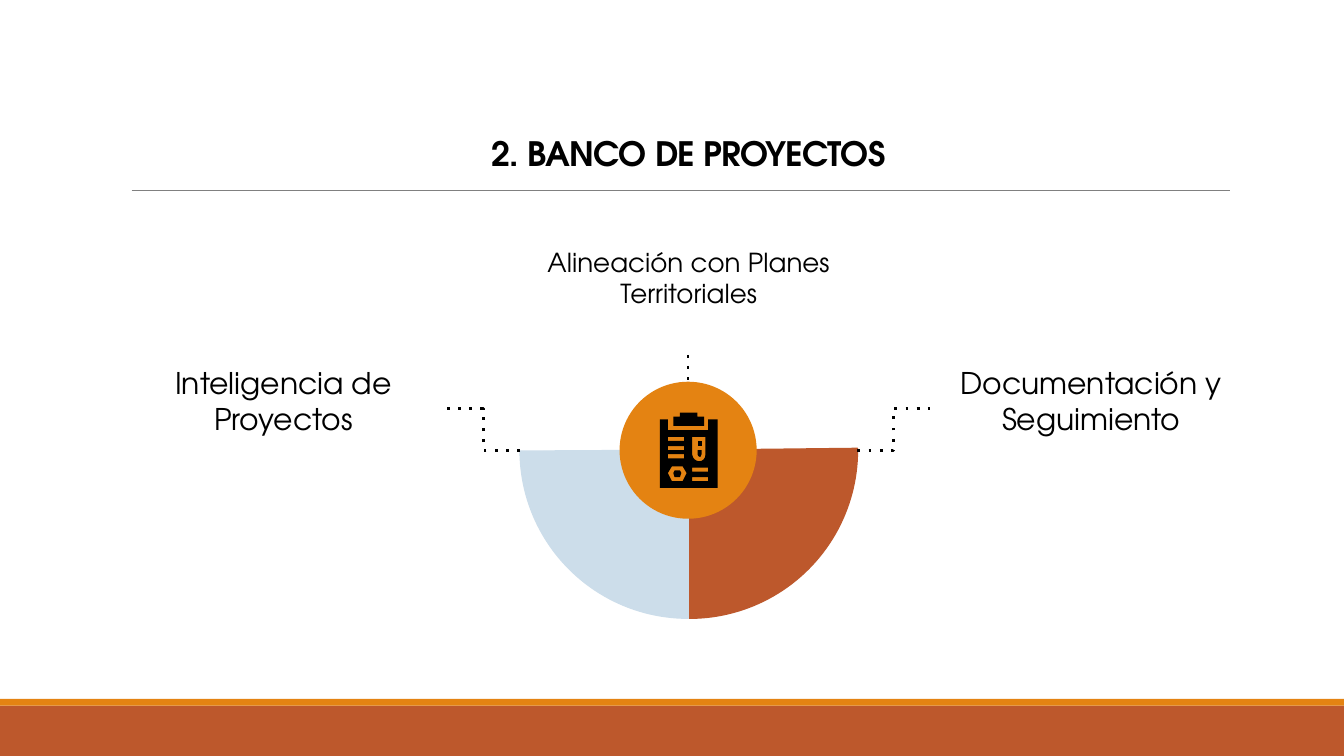
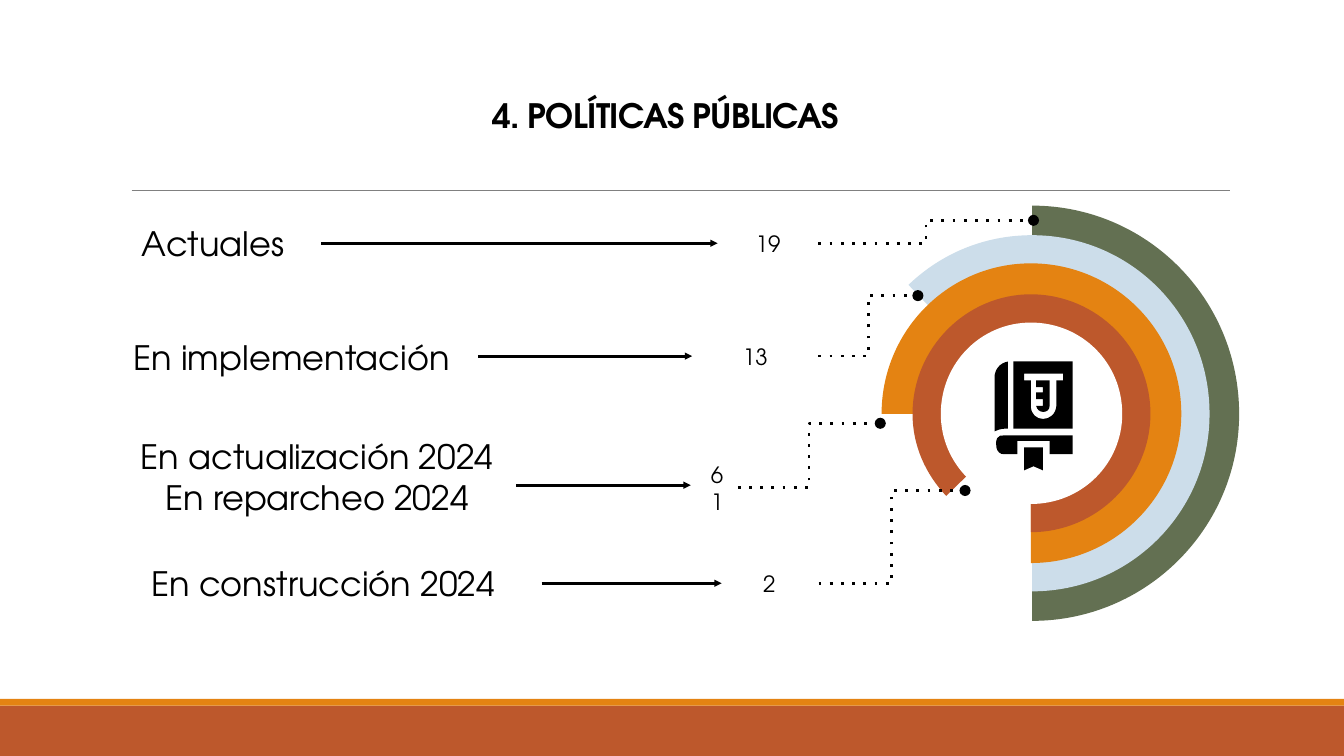
import lxml.etree
import pptx
import pptx.dml.color
import pptx.enum.shapes
import pptx.enum.text
import pptx.oxml.ns
import pptx.util

PX = 9144  # EMU in one px, 100 px to the inch
FONT = "TeX Gyre Adventor"
RUST, ORANGE, BLUE, GREEN = "BD582C", "E48312", "CCDDEA", "637052"
BLACK, WHITE, GRAY = "000000", "FFFFFF", "808080"

SHAPE = pptx.enum.shapes.MSO_SHAPE
CONNECTOR = pptx.enum.shapes.MSO_CONNECTOR
ANCHOR = pptx.enum.text.MSO_ANCHOR
color = pptx.dml.color.RGBColor.from_string
qn = pptx.oxml.ns.qn


def paint(shape, fill, line=None):
    shape.shadow.inherit = False
    shape.fill.solid()
    shape.fill.fore_color.rgb = color(fill)
    if line:
        shape.line.color.rgb = color(line)
        shape.line.width = pptx.util.Pt(0.75)
    else:
        shape.line.fill.background()


def add_outline(slide, fill, contours):
    """Draw closed contours as one freeform: pairs are corners, six numbers are a Bézier curve."""
    builder = slide.shapes.build_freeform(*(value * PX for value in contours[0][0]), scale=1.0)
    curve_starts = []
    for index, contour in enumerate(contours):
        if index:
            builder.move_to(*(value * PX for value in contour[0]))
        for step in contour[1:]:
            points = [(x * PX, y * PX) for x, y in zip(step[::2], step[1::2])]
            curve_starts += [len(points) == 3] + [False] * (len(points) - 1)
            builder.add_line_segments(points, close=False)
        builder.add_line_segments([], close=True)
    shape = builder.convert_to_shape()
    segments = list(shape.element.iter(qn("a:lnTo")))
    for index, starts_curve in enumerate(curve_starts):
        if starts_curve:
            curve = lxml.etree.Element(qn("a:cubicBezTo"))
            segments[index].addprevious(curve)
            for segment in segments[index:index + 3]:
                curve.append(segment[0])
                segment.getparent().remove(segment)
    paint(shape, fill)


presentation = pptx.Presentation()
presentation.slide_width = 1000 * PX
presentation.slide_height = pptx.util.Inches(5.625)
title_only = presentation.slide_layouts[5]
projects = presentation.slides.add_slide(title_only)
policies = presentation.slides.add_slide(title_only)

# Bottom bands, shared through the master
shared = []
for top, height, fill in ((525, 38, RUST), (520, 5, ORANGE)):
    band = projects.shapes.add_shape(SHAPE.RECTANGLE, 0, top * PX, 1000 * PX, height * PX)
    paint(band, fill)
    shared.append(band)

# Titles and labels: slide, text, left, top, width, height, size, anchor
BOTTOM, MIDDLE = ANCHOR.BOTTOM, ANCHOR.MIDDLE
texts = (
    (projects, "2. BANCO DE PROYECTOS", 91, 76, 843, 63, 18, BOTTOM),
    (projects, "Alineación con Planes Territoriales", 397, 179, 231, 61, 14, BOTTOM),
    (projects, "Documentación y Seguimiento", 691, 274, 242, 61, 16, BOTTOM),
    (projects, "Inteligencia de Proyectos", 90, 274, 242, 61, 16, BOTTOM),
    (policies, "4. POLÍTICAS PÚBLICAS", 74, 48, 843, 63, 18, BOTTOM),
    (policies, "Actuales", 78, 150, 161, 61, 18, MIDDLE),
    (policies, "En implementación", 78, 235, 278, 61, 18, MIDDLE),
    (policies, "En actualización 2024 En reparcheo 2024", 78, 324, 316, 61, 18, MIDDLE),
    (policies, "En construcción 2024", 78, 403, 325, 61, 18, MIDDLE),
    (policies, "19", 534, 159, 75, 44, 12, MIDDLE),
    (policies, "13", 515, 243, 94, 44, 12, MIDDLE),
    (policies, "6 1", 518, 336, 31, 54, 12, MIDDLE),
    (policies, "2", 537, 412, 71, 44, 12, MIDDLE),
)
for slide, text, left, top, width, height, size, anchor in texts:
    is_title = text.isupper()
    box = slide.shapes.title if is_title else slide.shapes.add_textbox(0, 0, 0, 0)
    box.left, box.top, box.width, box.height = (value * PX for value in (left, top, width, height))
    frame = box.text_frame
    frame.text = text
    frame.word_wrap = True
    frame.auto_size = pptx.enum.text.MSO_AUTO_SIZE.NONE
    frame.vertical_anchor = anchor
    frame.margin_left = frame.margin_right = frame.margin_top = frame.margin_bottom = 10 * PX
    paragraph = frame.paragraphs[0]
    paragraph.alignment = pptx.enum.text.PP_ALIGN.CENTER
    paragraph.font.name = FONT
    paragraph.font.size = pptx.util.Pt(size)
    paragraph.font.bold = is_title
    paragraph.font.color.rgb = color(BLACK)
    if is_title:
        paragraph.runs[0]._r.get_or_add_rPr().set("spc", "-40")

# Two quarter pies forming a bowl
for left, start, fill, mirrored in ((388, 107.612, RUST, False), (387, 108.179, BLUE, True)):
    pie = projects.shapes.add_shape(SHAPE.PIE, left * PX, 210 * PX, 250 * PX, 250 * PX)
    pie.adjustments[0] = start
    pie.adjustments[1] = 162
    pie.rotation = 180
    if mirrored:
        pie.element.spPr.xfrm.set("flipH", "1")
    paint(pie, fill, fill)

# Concentric sectors, each starting at the right and closing with the lower right quarter
sectors = (
    (GREEN, [(922, 308), (922, 222, 853, 153, 768, 153), (768, 462), (853, 462, 922, 393, 922, 308)]),
    (BLUE, [
        (900, 308), (900, 234, 841, 175, 768, 175), (732, 175, 700, 189, 676, 212),
        (768, 308), (768, 440), (841, 440, 900, 381, 900, 308),
    ]),
    (ORANGE, [
        (879, 308), (879, 246, 829, 196, 767, 196), (706, 196, 656, 246, 656, 308),
        (767, 308), (767, 419), (829, 419, 879, 369, 879, 308),
    ]),
    (RUST, [
        (856, 308), (856, 259, 816, 219, 767, 219), (719, 219, 679, 259, 679, 308),
        (679, 332, 689, 353, 704, 369), (767, 308), (767, 396), (816, 396, 856, 356, 856, 308),
    ]),
    (WHITE, [
        (700, 308), (700, 345, 730, 375, 767, 375), (805, 375, 835, 345, 835, 308),
        (835, 270, 805, 240, 767, 240), (730, 240, 700, 270, 700, 308),
    ]),
)
for fill, contour in sectors:
    add_outline(policies, fill, [contour])

# Connectors: slide, kind, from, to, colour, width, dash, end
STRAIGHT, ELBOW = CONNECTOR.STRAIGHT, CONNECTOR.ELBOW
connectors = [(projects, STRAIGHT, (98, 142), (915, 142), GRAY, 0.5, None, None)]
connectors += [
    (projects, kind, start, end, BLACK, 1.5, "dot", None)
    for kind, start, end in (
        (ELBOW, (387, 335), (332, 304)),
        (ELBOW, (638, 335), (692, 304)),
        (STRAIGHT, (512, 264), (512, 284)),
    )
]
connectors += [
    (policies, STRAIGHT, (left, y), (right, y), BLACK, 1.5, None, "triangle")
    for left, right, y in ((239, 534, 181), (356, 515, 265), (384, 514, 361), (403, 537, 434))
]
connectors += [
    (policies, ELBOW, start, end, BLACK, 1.5, "dot", "oval")
    for start, end in (
        ((609, 181), (769, 164)),
        ((609, 265), (683, 220)),
        ((549, 363), (655, 315)),
        ((609, 434), (718, 365)),
    )
]
for slide, kind, start, end, stroke, width, dash, tail in connectors:
    connector = slide.shapes.add_connector(kind, *(value * PX for value in start + end))
    connector.line.color.rgb = color(stroke)
    connector.line.width = pptx.util.Pt(width)
    properties = connector.element.spPr
    line = properties.find(qn("a:ln"))
    if dash:
        lxml.etree.SubElement(line, qn("a:prstDash"), val=dash)
    if tail:
        tail_size = "sm" if tail == "triangle" else "med"
        lxml.etree.SubElement(line, qn("a:tailEnd"), type=tail, w=tail_size, len=tail_size)
    lxml.etree.SubElement(properties, qn("a:effectLst"))
    if stroke == GRAY:
        shared.append(connector)

# Move the bands and the title rule to the master
for number, shape in enumerate(shared, start=101):
    shape.element.xpath("*/p:cNvPr")[0].set("id", str(number))
    presentation.slide_master.shapes.element.append(shape.element)

# Disc behind the clipboard
disc = projects.shapes.add_shape(SHAPE.OVAL, 461 * PX, 284 * PX, 102 * PX, 102 * PX)
paint(disc, ORANGE)

# Clipboard icon
board = [(527, 312), (527, 320), (497, 320), (497, 312), (491, 312), (491, 363), (534, 363), (534, 312)]
tube_hole = [(515, 325), (525, 325), (525, 338), (525, 345, 516, 345, 515, 338)]
nut_hole = [(508, 358), (500, 358), (497, 352), (500, 347), (508, 347), (511, 352)]
text_rows = [
    [(left, top), (right, top), (right, top + 3), (left, top + 3)]
    for left, right, top in ((497, 509, 325), (497, 509, 332), (497, 509, 338), (515, 527, 355), (515, 527, 348))
]
clip = [(524, 310), (519, 310), (519, 307), (506, 307), (506, 310), (501, 310), (501, 317), (524, 317)]
tube_liquid = [
    (521, 340), (521, 340, 522, 339, 522, 338), (522, 335), (519, 335), (519, 338), (519, 339, 520, 340, 521, 340),
]
tube_top = [(519, 328), (522, 328), (522, 332), (519, 332)]
nut = [(502, 350), (501, 352), (502, 355), (506, 355), (507, 352), (506, 350)]
for contours in ([tube_liquid], [tube_top], [nut], [board, tube_hole, nut_hole] + text_rows, [clip]):
    add_outline(projects, BLACK, contours)

# Book icon
cover = [(754, 269), (754, 319), (798, 319), (798, 269)]
flask_hole = [
    (791, 283), (786, 283), (786, 302), (785, 315, 767, 315, 767, 302),
    (767, 283), (762, 283), (762, 278), (791, 278),
]
flask = [
    (771, 288), (776, 288), (776, 292), (771, 292), (771, 297), (776, 297), (776, 302), (771, 302),
    (772, 308, 781, 308, 781, 302), (781, 283), (771, 283),
]
spine = [(750, 319), (750, 269), (744, 270, 740, 275, 740, 281), (740, 321), (742, 320, 745, 319, 747, 319)]
pages = [
    (742, 326), (740, 330, 741, 338, 747, 338), (757, 338), (757, 328), (781, 328),
    (781, 338), (798, 338), (798, 324), (747, 324), (745, 324, 743, 324, 742, 326),
]
bookmark = [(762, 350), (769, 347), (776, 350), (776, 333), (762, 333)]
for contours in ([flask], [cover, flask_hole], [spine], [pages], [bookmark]):
    add_outline(policies, BLACK, contours)

presentation.save("out.pptx")
